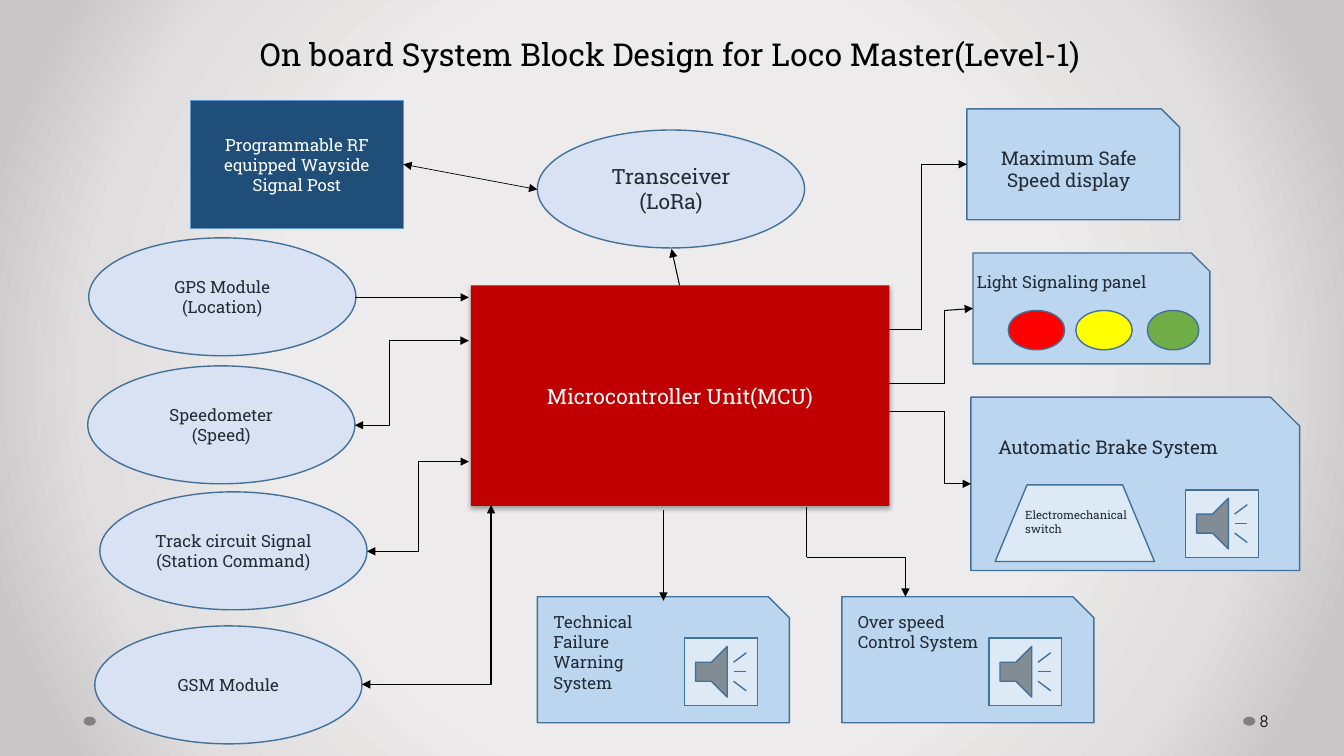
from lxml import etree
from pptx import Presentation
from pptx.dml.color import RGBColor
from pptx.enum.shapes import MSO_CONNECTOR, MSO_SHAPE
from pptx.enum.text import MSO_ANCHOR, PP_ALIGN
from pptx.oxml.ns import qn
from pptx.util import Inches, Pt

RECTANGLE, ELLIPSE = MSO_SHAPE.RECTANGLE, MSO_SHAPE.OVAL
SNIPPED, SPEAKER = MSO_SHAPE.SNIP_1_RECTANGLE, MSO_SHAPE.ACTION_BUTTON_SOUND
SWITCH = MSO_SHAPE.FLOWCHART_MANUAL_OPERATION
STRAIGHT, ELBOW = MSO_CONNECTOR.STRAIGHT, MSO_CONNECTOR.ELBOW
LEFT, CENTER = PP_ALIGN.LEFT, PP_ALIGN.CENTER
TOP, MIDDLE = MSO_ANCHOR.TOP, MSO_ANCHOR.MIDDLE

BLACK = RGBColor(0x00, 0x00, 0x00)
WHITE = RGBColor(0xFF, 0xFF, 0xFF)
GRAY = RGBColor(0x80, 0x80, 0x80)
INK = RGBColor(0x22, 0x2A, 0x35)
OUTLINE = RGBColor(0x42, 0x71, 0x9B)
MODULE_BLUE = RGBColor(0xD8, 0xE2, 0xF3)
PANEL_BLUE = RGBColor(0xBB, 0xD6, 0xEE)
PALE_BLUE = RGBColor(0xDD, 0xEA, 0xF6)
POST_BLUE = RGBColor(0x1F, 0x4E, 0x79)
POST_OUTLINE = RGBColor(0x5B, 0x9B, 0xD5)
MCU_RED = RGBColor(0xC0, 0x00, 0x00)
RED = RGBColor(0xFF, 0x00, 0x00)
YELLOW = RGBColor(0xFF, 0xFF, 0x00)
GREEN = RGBColor(0x70, 0xAD, 0x47)
BACKGROUND_STOPS = [(50, RGBColor(0xED, 0xEB, 0xEB)),
                    (76, RGBColor(0xE0, 0xDE, 0xDE)),
                    (92, RGBColor(0xC9, 0xC7, 0xC7))]


def add_child(parent, tag, **attributes):
    child = etree.SubElement(parent, qn(tag))
    for name, value in attributes.items():
        child.set(name, str(value))
    return child


class BlockDiagram:
    font = "Roboto Slab"

    def __init__(self, slide):
        self.slide = slide

    def radial_background(self, stops):
        fill = self.slide.background.fill
        fill.gradient()
        gradient = self.slide.element.find(".//" + qn("a:gradFill"))
        for child in list(gradient):
            gradient.remove(child)
        stop_list = add_child(gradient, "a:gsLst")
        for percent, color in stops:
            stop = add_child(stop_list, "a:gs", pos=percent * 1000)
            add_child(stop, "a:srgbClr", val=color)
        circle = add_child(gradient, "a:path", path="circle")
        add_child(circle, "a:fillToRect", l=50000, t=50000, r=50000, b=50000)

    def set_text(self, shape, text, size, color, align, anchor, font=None):
        frame = shape.text_frame
        frame.word_wrap = True
        frame.vertical_anchor = anchor
        frame.text = text
        for paragraph in frame.paragraphs:
            paragraph.alignment = align
            for run in paragraph.runs:
                run.font.name = font or self.font
                run.font.size = Pt(size)
                run.font.color.rgb = color

    def block(self, kind, box, fill, outline=OUTLINE, text="", size=12, color=INK):
        shape = self.slide.shapes.add_shape(kind, *map(Inches, box))
        shape.shadow.inherit = False
        shape.fill.solid()
        shape.fill.fore_color.rgb = fill
        if outline is None:
            shape.line.fill.background()
        else:
            shape.line.color.rgb = outline
            shape.line.width = Pt(1)
        if text:
            self.set_text(shape, text, size, color, CENTER, MIDDLE)
        return shape

    def label(self, box, text, size=12, color=INK, align=LEFT, anchor=TOP, font=None):
        shape = self.slide.shapes.add_textbox(*map(Inches, box))
        self.set_text(shape, text, size, color, align, anchor, font)
        return shape

    def module(self, left, top, text, size=12):
        self.block(ELLIPSE, (left, top, 2.65, 1.17), MODULE_BLUE, text=text, size=size)

    def speaker(self, left, top):
        self.block(SPEAKER, (left, top, 0.72, 0.67), PALE_BLUE)

    def warning_panel(self, left, text):
        self.block(SNIPPED, (left, 5.92, 2.5, 1.25), PANEL_BLUE)
        self.speaker(left + 1.46, 6.33)
        self.label((left + 0.06, 6.02, 1.46, 1), text)

    def connect(self, start, end, width=0.75, kind=STRAIGHT, head=False, tail=True):
        """Draw a connector; head puts an arrow at start, tail one at end."""
        connector = self.slide.shapes.add_connector(kind, *map(Inches, start + end))
        connector.line.color.rgb = BLACK
        connector.line.width = Pt(width)
        properties = connector.element.spPr
        line = properties.find(qn("a:ln"))
        for wanted, tag in ((head, "a:headEnd"), (tail, "a:tailEnd")):
            if wanted:
                add_child(line, tag, type="triangle")
        add_child(properties, "a:effectLst")
        return connector

    def route(self, *points):
        """Draw straight legs through the points, with an arrow on the last."""
        for start, end in zip(points, points[1:]):
            self.connect(start, end, tail=end == points[-1])

    def link(self, start, end, bend=0.5):
        """Draw a two-way elbow that bends at the given share of its width."""
        connector = self.connect(start, end, 0.5, ELBOW, head=True)
        guides = connector.element.spPr.find(qn("a:prstGeom")).get_or_add_avLst()
        add_child(guides, "a:gd", name="adj1", fmla=f"val {round(bend * 100000)}")

    def corner_link(self, start, end):
        connector = self.connect(start, end, 1, ELBOW, head=True)
        connector.element.spPr.find(qn("a:prstGeom")).set("prst", "bentConnector2")


def draw_inputs(diagram):
    diagram.block(RECTANGLE, (1.89, 1, 2.11, 1.27), POST_BLUE, POST_OUTLINE,
                  "Programmable RF equipped Wayside Signal Post", 12, WHITE)
    diagram.module(5.33, 1.29, "Transceiver\n(LoRa)", 15)
    for left, top, text in [(0.88, 2.36, "GPS Module\n(Location)"),
                            (0.87, 3.63, "Speedometer\n(Speed)"),
                            (0.99, 4.88, "Track circuit Signal\n(Station Command)"),
                            (0.94, 6.21, "GSM Module")]:
        diagram.module(left, top, text)


def draw_controller(diagram):
    controller = diagram.block(RECTANGLE, (4.67, 2.83, 4.15, 2.19), MCU_RED, None,
                               "Microcontroller Unit(MCU)", 15, WHITE)
    effects = controller.element.spPr.find(qn("a:effectLst"))
    shadow = add_child(effects, "a:outerShdw", blurRad=Pt(3.5), dist=Pt(2.2),
                       dir=5400000, algn="t", rotWithShape=0)
    add_child(add_child(shadow, "a:srgbClr", val=BLACK), "a:alpha", val=32000)


def draw_outputs(diagram):
    diagram.block(SNIPPED, (9.59, 1.08, 2.11, 1.1), PANEL_BLUE,
                  text="Maximum Safe Speed display", size=13.5)

    diagram.block(SNIPPED, (9.65, 2.51, 2.35, 1.1), PANEL_BLUE)
    for left, width, color in [(10, 0.56, RED), (10.67, 0.56, YELLOW), (11.38, 0.51, GREEN)]:
        diagram.block(ELLIPSE, (left, 3.08, width, 0.39), color)
    diagram.label((9.59, 2.65, 2.52, 0.4), "Light Signaling panel")

    diagram.block(SNIPPED, (9.63, 3.94, 3.26, 1.72), PANEL_BLUE)
    diagram.speaker(11.76, 4.86)
    diagram.block(SWITCH, (9.87, 4.81, 1.58, 0.76), PALE_BLUE).rotation = 180
    diagram.label((10.07, 4.99, 1.31, 0.5), "Electromechanical switch", 8.2)
    diagram.label((9.8, 4.27, 2.92, 0.44), "Automatic Brake System", 13.5)

    diagram.warning_panel(8.35, "Over speed Control System")
    diagram.warning_panel(5.33, "Technical Failure Warning System")


def draw_connections(diagram):
    diagram.connect((4, 1.63), (5.33, 1.88), 0.5, head=True)
    diagram.connect((3.52, 2.95), (4.65, 2.95), 1)
    diagram.link((3.52, 4.22), (4.65, 3.38), 0.3)
    diagram.link((3.64, 5.47), (4.65, 4.58))
    diagram.corner_link((3.59, 6.79), (4.87, 5.01))
    diagram.route((6.74, 2.83), (6.66, 2.47))
    diagram.route((6.58, 5.06), (6.58, 5.96))
    diagram.route((8, 5.03), (8, 5.53), (8.98, 5.53), (8.98, 5.92))
    diagram.route((8.82, 3.27), (9.14, 3.27), (9.14, 1.63), (9.59, 1.63))
    diagram.route((8.82, 3.8), (9.37, 3.8), (9.37, 3.08), (9.65, 3.06))
    diagram.route((8.82, 4.08), (9.37, 4.08), (9.37, 4.8), (9.63, 4.8))


def main():
    presentation = Presentation()
    presentation.slide_width, presentation.slide_height = Inches(13.33), Inches(7.5)
    diagram = BlockDiagram(presentation.slides.add_slide(presentation.slide_layouts[6]))
    diagram.radial_background(BACKGROUND_STOPS)
    for left in (12.33, 0.83):
        diagram.block(ELLIPSE, (left, 7.11, 0.12, 0.09), GRAY, None)
    diagram.label((0.42, 0.3, 12.46, 0.64),
                  "On board System Block Design for Loco Master(Level-1)", 22.5, BLACK, CENTER)
    draw_controller(diagram)
    draw_inputs(diagram)
    draw_outputs(diagram)
    draw_connections(diagram)
    number = diagram.label((12.46, 6.95, 0.82, 0.4), "8", 12, BLACK,
                           anchor=MIDDLE, font="Quicksand")
    number.text_frame.margin_left = Inches(0.03)
    presentation.save("out.pptx")


if __name__ == "__main__":
    main()
